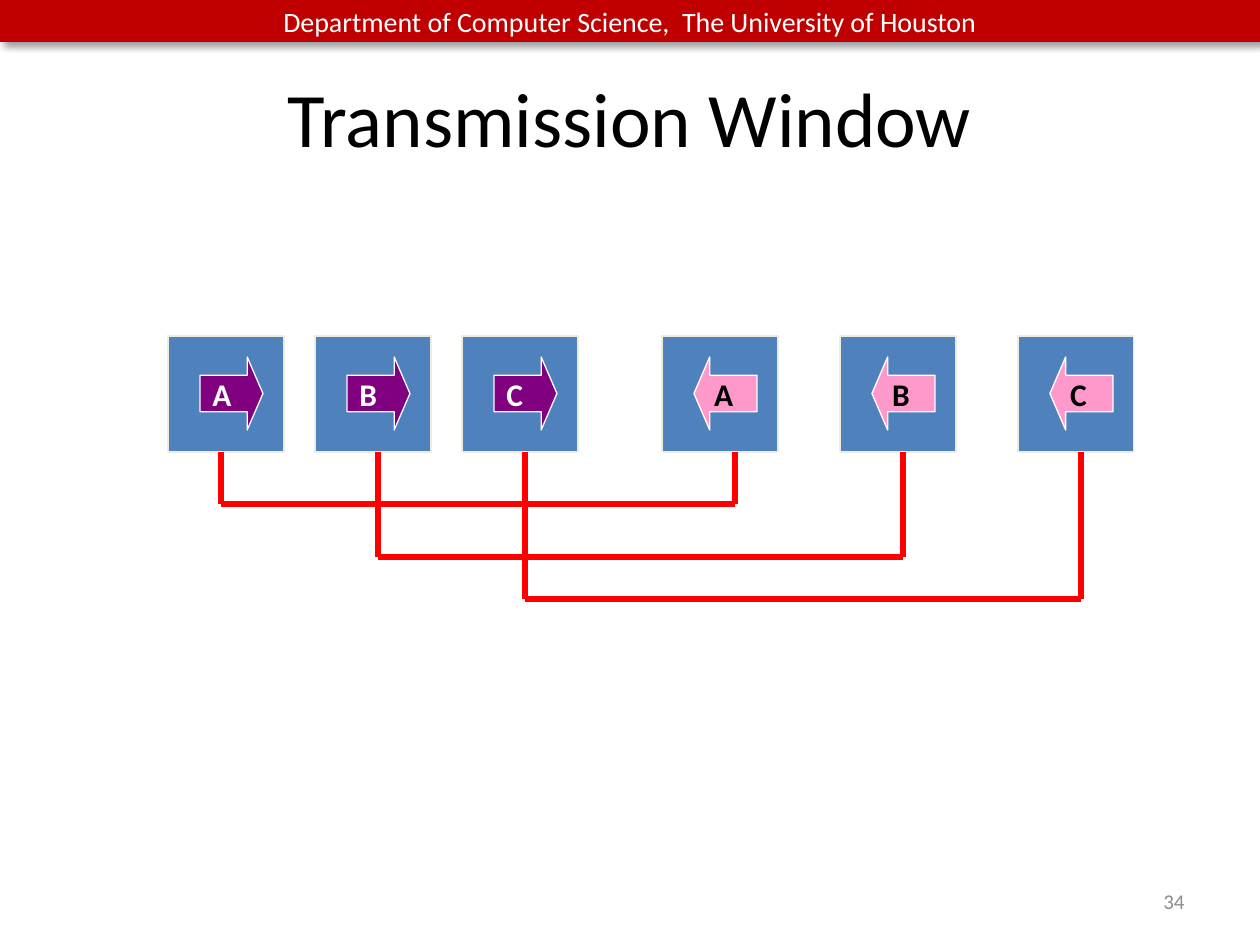
import pptx
import pptx.dml.color
import pptx.enum.shapes
import pptx.enum.text
import pptx.oxml.ns
import pptx.util
from lxml import etree

PX = 914400 // 126
FONT = "Calibri"
SHAPE = pptx.enum.shapes.MSO_SHAPE
ALIGN = pptx.enum.text.PP_ALIGN

BOX_TOP, BOX_SIZE = 336, 116
BOX_BOTTOM = BOX_TOP + BOX_SIZE
LABELS = "ABC"
SENDER_LEFT, SENDER_STEP = 168, 147
RECEIVER_LEFT, RECEIVER_STEP = 662, 178
# Start x, end x and depth of each link
LINKS = [(221, 735, 504), (378, 903, 557), (525, 1081, 599)]


def px(*lengths):
    return [length * PX for length in lengths]


def color(value):
    return pptx.dml.color.RGBColor.from_string(value)


def add_effect(shape_properties, name, parent=None, **attributes):
    tag = pptx.oxml.ns.qn(f"a:{name}")
    return etree.SubElement(shape_properties if parent is None else parent, tag, attributes)


def write_text(shape, text, size, text_color, align, bold=False, wrap=True):
    frame = shape.text_frame
    frame.text = text
    frame.word_wrap = wrap
    frame.vertical_anchor = pptx.enum.text.MSO_ANCHOR.MIDDLE
    paragraph = frame.paragraphs[0]
    paragraph.alignment = align
    font = paragraph.runs[0].font
    font.name, font.size, font.bold = FONT, pptx.util.Pt(size), bold
    font.color.rgb = color(text_color)


def add_text(slide, bounds, text, size, text_color, align):
    write_text(slide.shapes.add_textbox(*px(*bounds)), text, size, text_color, align)


def add_filled(shapes, kind, bounds, fill, line=None):
    shape = shapes.add_shape(kind, *px(*bounds))
    shape.shadow.inherit = False
    shape.fill.solid()
    shape.fill.fore_color.rgb = color(fill)
    if line:
        shape.line.color.rgb = color(line)
        shape.line.width = pptx.util.Pt(0.75)
    else:
        shape.line.fill.background()
    return shape


def add_banner(slide, text):
    banner = add_filled(slide.shapes, SHAPE.RECTANGLE, (0, 0, 1260, 42), "C00000")
    write_text(banner, text, 16, "FFFFFF", ALIGN.CENTER)
    # Soft shadow to the lower right
    effects = banner._element.spPr.find(pptx.oxml.ns.qn("a:effectLst"))
    shadow = add_effect(effects, "outerShdw", blurRad="50800", dist="38100",
                        dir="2700000", algn="tl", rotWithShape="0")
    black = add_effect(shadow, "srgbClr", val="000000")
    add_effect(black, "alpha", val="40000")


def add_packet(slide, left, label, arrow_kind, arrow_fill, text_color):
    shapes = slide.shapes.add_group_shape().shapes
    add_filled(shapes, SHAPE.RECTANGLE, (left, BOX_TOP, BOX_SIZE, BOX_SIZE),
               "4F81BD", "EEECE1")
    arrow = add_filled(shapes, arrow_kind, (left + 32, BOX_TOP + 21, 63, 73),
                       arrow_fill, "FFFFFF")
    arrow.adjustments[0], arrow.adjustments[1] = 0.5, 0.25
    write_text(arrow, label, 18, text_color, ALIGN.LEFT, bold=True, wrap=False)


def add_link(slide, start, end, depth):
    shapes = slide.shapes.add_group_shape().shapes
    corners = [(start, BOX_BOTTOM), (start, depth), (end, depth), (end, BOX_BOTTOM)]
    for first, second in zip(corners, corners[1:]):
        line = shapes.add_connector(pptx.enum.shapes.MSO_CONNECTOR.STRAIGHT,
                                    *px(*first, *second))
        line.line.color.rgb = color("FF0000")
        line.line.width = pptx.util.Pt(3)
        add_effect(line._element.spPr, "effectLst")


def main():
    presentation = pptx.Presentation()
    presentation.slide_width, presentation.slide_height = px(1260, 945)
    slide = presentation.slides.add_slide(presentation.slide_layouts[6])

    # Banner and title
    add_banner(slide, "Department of Computer Science,  The University of Houston")
    add_text(slide, (63, 38, 1134, 157), "Transmission Window", 44, "000000", ALIGN.CENTER)

    # Sent packets and their replies
    for index, label in enumerate(LABELS):
        add_packet(slide, SENDER_LEFT + index * SENDER_STEP, label,
                   SHAPE.RIGHT_ARROW, "800080", "FFFFFF")
        add_packet(slide, RECEIVER_LEFT + index * RECEIVER_STEP, label,
                   SHAPE.LEFT_ARROW, "FF99CC", "000000")

    # Links from each packet to its reply
    for link in LINKS:
        add_link(slide, *link)

    # Slide number
    add_text(slide, (903, 876, 294, 50), "34", 12, "8C8C8C", ALIGN.RIGHT)
    presentation.save("out.pptx")


if __name__ == "__main__":
    main()
